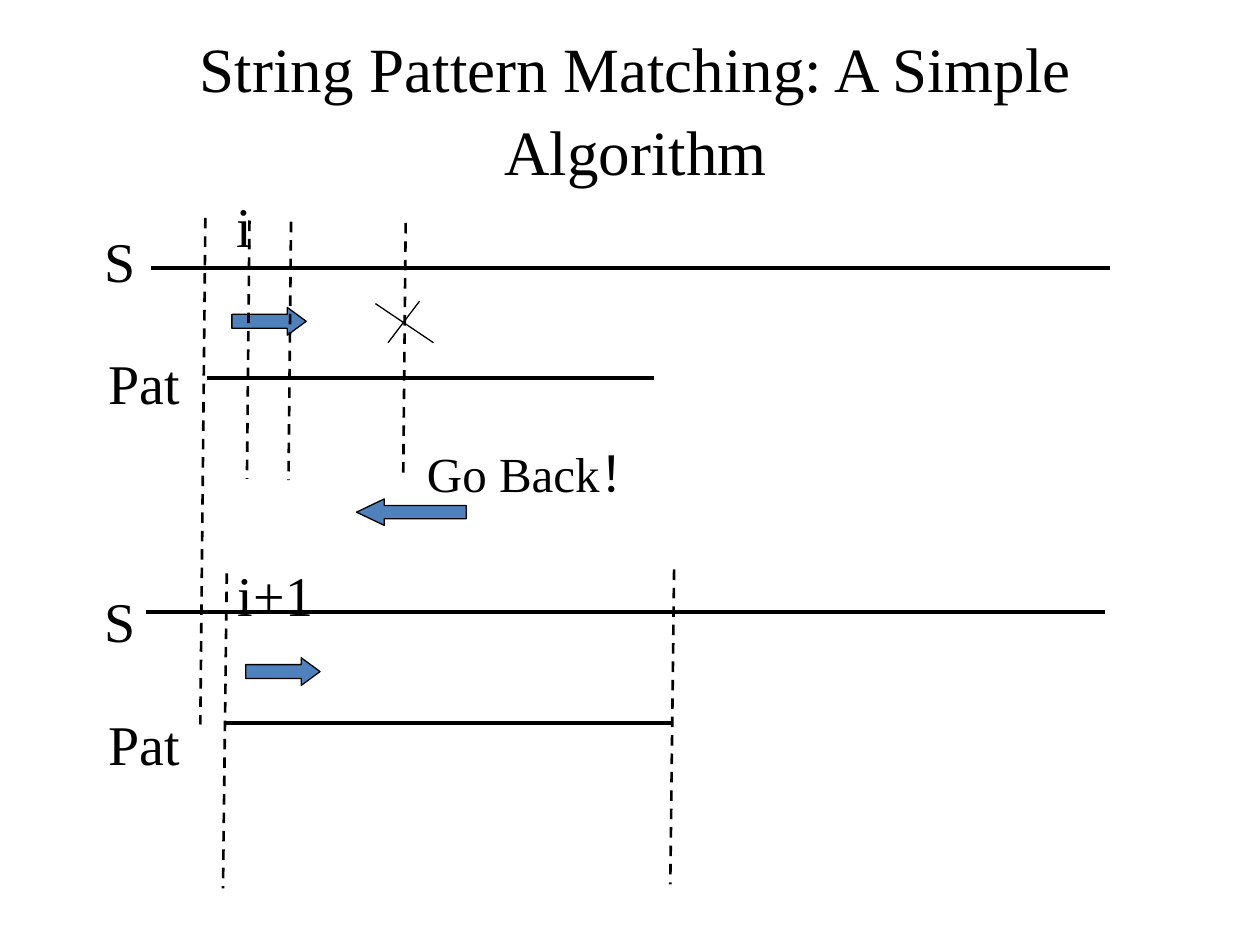
import pptx
import pptx.util
from lxml import etree
from pptx.dml.color import RGBColor
from pptx.enum.dml import MSO_LINE
from pptx.enum.shapes import MSO_CONNECTOR, MSO_SHAPE
from pptx.enum.text import MSO_ANCHOR, MSO_AUTO_SIZE, PP_ALIGN
from pptx.oxml.ns import qn

PX = 9144  # 100 px to the inch
BLACK = RGBColor(0x00, 0x00, 0x00)
BLUE = RGBColor(0x4F, 0x81, 0xBD)
FONT = "Times New Roman"

prs = pptx.Presentation()
prs.slide_width = 1000 * PX
prs.slide_height = 750 * PX
s = prs.slides.add_slide(prs.slide_layouts[6])


def add_line(x1, y1, x2, y2, width, dash=None):
    sp = s.shapes.add_connector(MSO_CONNECTOR.STRAIGHT, x1 * PX, y1 * PX, x2 * PX, y2 * PX)
    sp.line.color.rgb = BLACK
    sp.line.width = pptx.util.Pt(width)
    if dash:
        sp.line.dash_style = dash
    etree.SubElement(sp._element.spPr, qn("a:effectLst"))


def add_text(text, x, y, w, h, size, wrap=False):
    sp = s.shapes.add_textbox(x * PX, y * PX, w * PX, h * PX)
    tf = sp.text_frame
    tf.word_wrap = wrap
    if not wrap:
        tf.auto_size = MSO_AUTO_SIZE.SHAPE_TO_FIT_TEXT
    p = tf.paragraphs[0]
    p.text = text
    p.font.size = pptx.util.Pt(size)
    p.font.name = FONT
    p.font.color.rgb = BLACK
    return tf


# Title
tf = add_text("String Pattern Matching: A Simple Algorithm", 42, 25, 925, 117, 36, wrap=True)
tf.vertical_anchor = MSO_ANCHOR.MIDDLE
tf.paragraphs[0].alignment = PP_ALIGN.CENTER
tf.paragraphs[0].line_spacing = 1.1

# Scan direction arrows
for kind, x, y, w, h, head in [
    (MSO_SHAPE.RIGHT_ARROW, 184, 244, 59, 22, 0.68),
    (MSO_SHAPE.RIGHT_ARROW, 195, 522, 59, 22, 0.68),
    (MSO_SHAPE.LEFT_ARROW, 283, 396, 87, 21, 1.05),
]:
    sp = s.shapes.add_shape(kind, x * PX, y * PX, w * PX, h * PX)
    sp.shadow.inherit = False
    sp.adjustments[0] = 0.5
    sp.adjustments[1] = head
    sp.fill.solid()
    sp.fill.fore_color.rgb = BLUE
    sp.line.color.rgb = BLACK
    sp.line.width = pptx.util.Pt(0.75)

# String and pattern bars, before and after the shift
for x1, x2, y in [(120, 881, 213), (164, 519, 300), (116, 877, 486), (178, 533, 574)]:
    add_line(x1, y, x2, y, 2.25)

# Alignment guides
for x1, y1, x2, y2 in [
    (163, 173, 159, 575),
    (198, 175, 196, 380),
    (231, 176, 229, 381),
    (322, 177, 320, 381),
    (180, 455, 177, 705),
    (535, 452, 532, 702),
]:
    add_line(x1, y1, x2, y2, 1.5, MSO_LINE.DASH)

# Mismatch cross
add_line(333, 239, 308, 272, 0.75)
add_line(298, 241, 344, 272, 0.75)

# Labels
for text, x, y, w in [
    ("S", 73, 175, 45),
    ("Pat", 76, 272, 77),
    ("i", 178, 147, 32),
    ("S", 73, 461, 45),
    ("Pat", 76, 558, 77),
    ("i+1", 179, 440, 82),
]:
    add_text(text, x, y, w, 64, 32)
add_text("Go Back！", 329, 347, 205, 57, 28, wrap=True)

prs.save("out.pptx")
